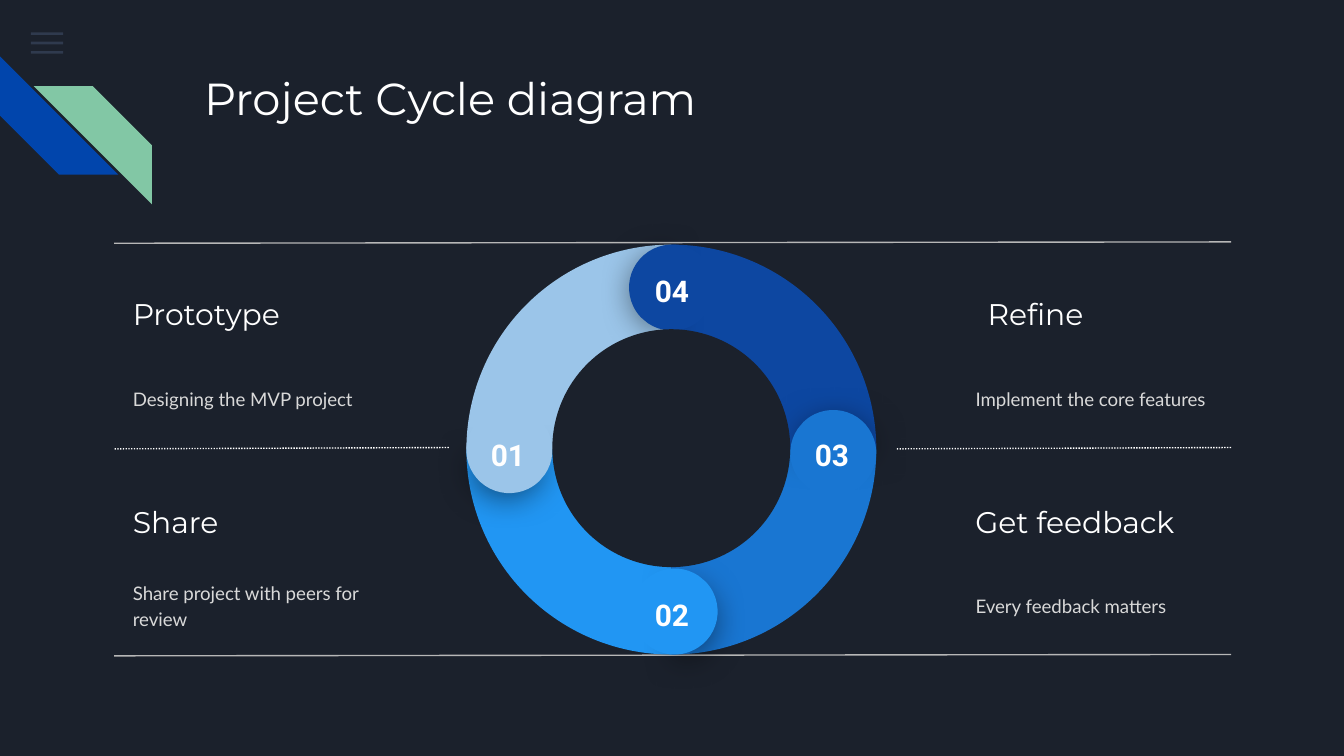
from lxml import etree
from pptx import Presentation
from pptx.dml.color import RGBColor
from pptx.enum.dml import MSO_LINE
from pptx.enum.shapes import MSO_CONNECTOR, MSO_SHAPE
from pptx.enum.text import MSO_ANCHOR, PP_ALIGN
from pptx.oxml import parse_xml
from pptx.oxml.ns import nsdecls, qn
from pptx.util import Inches, Pt

BACKGROUND = RGBColor(0x1B, 0x21, 0x2C)
WHITE = RGBColor(0xFF, 0xFF, 0xFF)
LIGHT_GRAY = RGBColor(0xD9, 0xD9, 0xD9)
RULE_GRAY = RGBColor(0xB7, 0xB7, 0xB7)
MENU_GRAY = RGBColor(0x55, 0x68, 0x8B)
STRIPE_BLUE = RGBColor(0x01, 0x45, 0xAC)
STRIPE_GREEN = RGBColor(0x82, 0xC7, 0xA5)
PALE_BLUE = RGBColor(0x9B, 0xC5, 0xE9)
NAVY = RGBColor(0x0D, 0x47, 0xA1)
MID_BLUE = RGBColor(0x19, 0x76, 0xD2)
BRIGHT_BLUE = RGBColor(0x21, 0x96, 0xF3)


class SlideBuilder:
    heading_font = "Montserrat"
    body_font = "Lato"
    number_font = "Roboto"

    def __init__(self, deck):
        self.slide = deck.slides.add_slide(deck.slide_layouts[6])
        self.slide.background.fill.solid()
        self.slide.background.fill.fore_color.rgb = BACKGROUND

    def shape(self, kind, left, top, width, height, color,
              rotation=0, adjustments=(), alpha=None, shadow=False):
        shape = self.slide.shapes.add_shape(
            kind, Inches(left), Inches(top), Inches(width), Inches(height))
        shape.rotation = rotation
        for index, value in enumerate(adjustments):
            shape.adjustments[index] = value
        shape.fill.solid()
        shape.fill.fore_color.rgb = color
        shape.line.fill.background()
        shape.shadow.inherit = False
        if alpha is not None:
            color_node = shape._element.spPr.find(".//" + qn("a:srgbClr"))
            etree.SubElement(color_node, qn("a:alpha"), val=str(alpha * 1000))
        if shadow:
            effects = shape._element.spPr.find(qn("a:effectLst"))
            effects.append(parse_xml(
                f'<a:outerShdw {nsdecls("a")} blurRad="{Pt(18)}" dist="{Pt(4)}" '
                'dir="5400000" algn="bl" rotWithShape="0"><a:srgbClr val="000000">'
                '<a:alpha val="55000"/></a:srgbClr></a:outerShdw>'))

    def text(self, text, left, top, width, height, font, size, color=WHITE,
             bold=False, anchor=MSO_ANCHOR.TOP, align=PP_ALIGN.LEFT,
             line_spacing=None):
        box = self.slide.shapes.add_textbox(
            Inches(left), Inches(top), Inches(width), Inches(height))
        frame = box.text_frame
        frame.word_wrap = True
        frame.vertical_anchor = anchor
        frame.margin_left = frame.margin_right = Inches(0.1)
        frame.margin_top = frame.margin_bottom = Inches(0.1)
        para = frame.paragraphs[0]
        para.alignment = align
        if line_spacing:
            para.line_spacing = line_spacing
            para.space_after = Pt(16)
        span = para.add_run()
        span.text = text
        span.font.name = font
        span.font.size = Pt(size)
        span.font.bold = bold
        span.font.color.rgb = color

    def rule(self, left, right, top, color, dash=None):
        """Draw a rule that rises slightly towards the right."""
        line = self.slide.shapes.add_connector(
            MSO_CONNECTOR.STRAIGHT, Inches(right), Inches(top),
            Inches(left), Inches(top + 0.01))
        line.line.color.rgb = color
        line.line.width = Pt(0.75)
        if dash:
            line.line.dash_style = dash
        etree.SubElement(line._element.spPr, qn("a:effectLst"))

    def step(self, heading, body, left, top, heading_left):
        self.text(heading, heading_left, top, 2.03, 0.49, self.heading_font, 16,
                  anchor=MSO_ANCHOR.MIDDLE)
        self.text(body, left, top + 0.485, 2.18, 0.76, self.body_font, 10,
                  LIGHT_GRAY, anchor=MSO_ANCHOR.MIDDLE, line_spacing=1.15)

    def ring_cap(self, number, color, turn, pie, chord, label, angles):
        """Draw a rounded, shadowed segment end with its number."""
        self.shape(MSO_SHAPE.PIE, *pie, 0.57, 0.57, color,
                   (39.5 + turn) % 360, angles, shadow=True)
        self.shape(MSO_SHAPE.CHORD, *chord, 0.64, 0.64, color,
                   (4.1 + turn) % 360, (25.01, 18.12))
        self.text(number, *label, 0.56, 0.29, self.number_font, 16,
                  bold=True, align=PP_ALIGN.CENTER)


def main():
    deck = Presentation()
    deck.slide_width = Inches(10)
    deck.slide_height = Inches(5.625)
    builder = SlideBuilder(deck)

    # Menu icon and corner stripes
    for row in range(3):
        builder.shape(MSO_SHAPE.RECTANGLE, 0.23, 0.24 + row * 0.07, 0.24, 0.02,
                      MENU_GRAY, alpha=36)
    builder.shape(MSO_SHAPE.DIAGONAL_STRIPE, 0, 0.42, 0.88, 0.88,
                  STRIPE_BLUE, 270, (0.5,))
    builder.shape(MSO_SHAPE.DIAGONAL_STRIPE, 0.25, 0.64, 0.88, 0.88,
                  STRIPE_GREEN, 90, (0.5,))

    # Title
    builder.text("Project Cycle diagram", 1.42, 0.43, 7.7, 1,
                 builder.heading_font, 24)

    # Step descriptions
    upper, lower = 2.09, 3.635
    left, right = 0.89, 7.16
    builder.step("Prototype", "Designing the MVP project", left, upper, left)
    builder.step("Share", "Share project with peers for review", left, lower, left)
    builder.step("Refine", "Implement the core features", right, upper, 7.25)
    builder.step("Get feedback", "Every feedback matters", right, lower, right)

    # Rules
    builder.rule(0.85, 9.16, 1.8, RULE_GRAY)
    builder.rule(0.85, 3.34, 3.33, WHITE, MSO_LINE.ROUND_DOT)
    builder.rule(6.67, 9.16, 3.33, WHITE, MSO_LINE.ROUND_DOT)
    builder.rule(0.85, 9.16, 4.87, RULE_GRAY)

    # Ring quarters, clockwise from the upper left
    for quarter, color in enumerate((PALE_BLUE, NAVY, MID_BLUE, BRIGHT_BLUE)):
        builder.shape(MSO_SHAPE.PIE, 3.47, 1.82, 3.05, 3.05, color,
                      quarter * 90, (108, 162))

    # Rounded ends: number, color, turn, pie, chord and label positions, angles
    cap_angles = (189.54, 83.81)
    caps = (
        ("01", PALE_BLUE, 0, (3.48, 3.07), (3.47, 3.03), (3.5, 3.15), cap_angles),
        ("02", BRIGHT_BLUE, 270, (4.74, 4.28), (4.7, 4.23), (4.72, 4.34), cap_angles),
        ("03", MID_BLUE, 180, (5.93, 3.07), (5.88, 3.05), (5.91, 3.15), (196.87, 77.71)),
        ("04", NAVY, 90, (4.7, 1.83), (4.68, 1.82), (4.72, 1.93), cap_angles),
    )
    for cap in caps:
        builder.ring_cap(*cap)

    # Ring center
    builder.shape(MSO_SHAPE.OVAL, 4.11, 2.45, 1.77, 1.77, BACKGROUND)

    deck.save("out.pptx")


if __name__ == "__main__":
    main()
